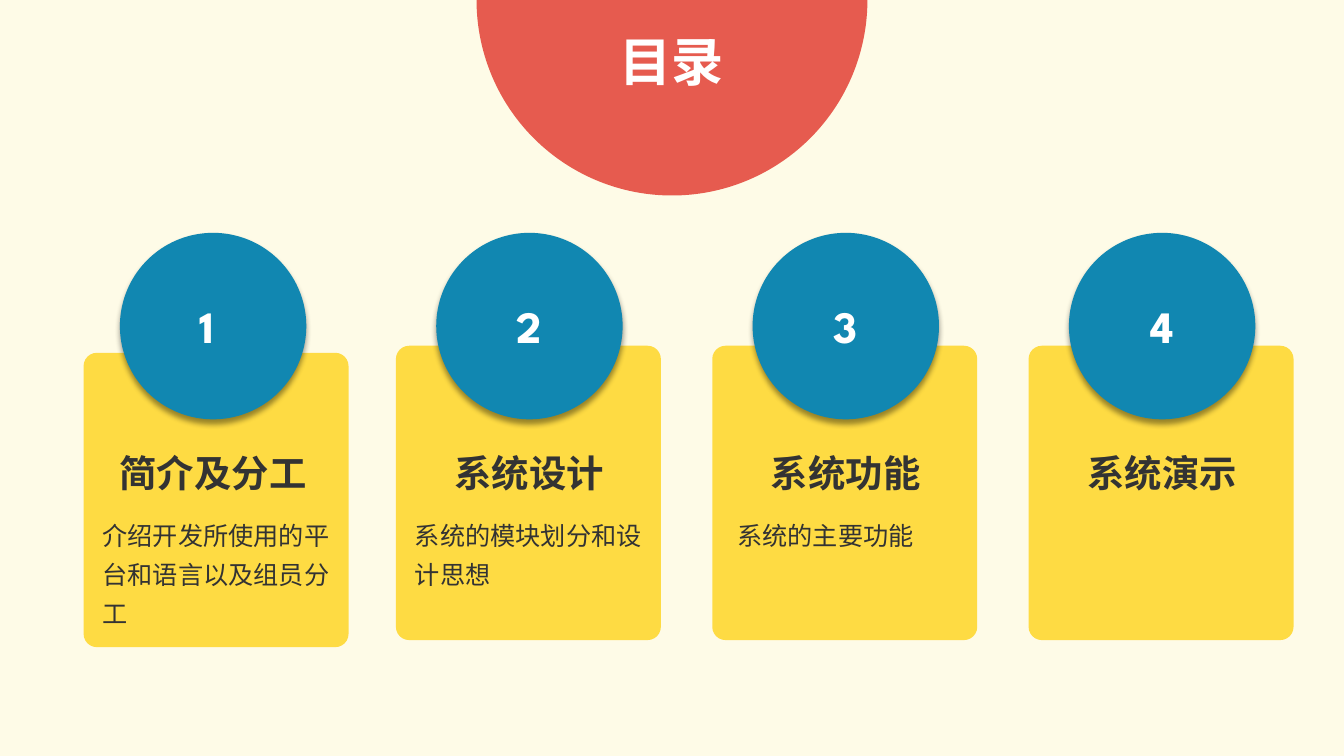
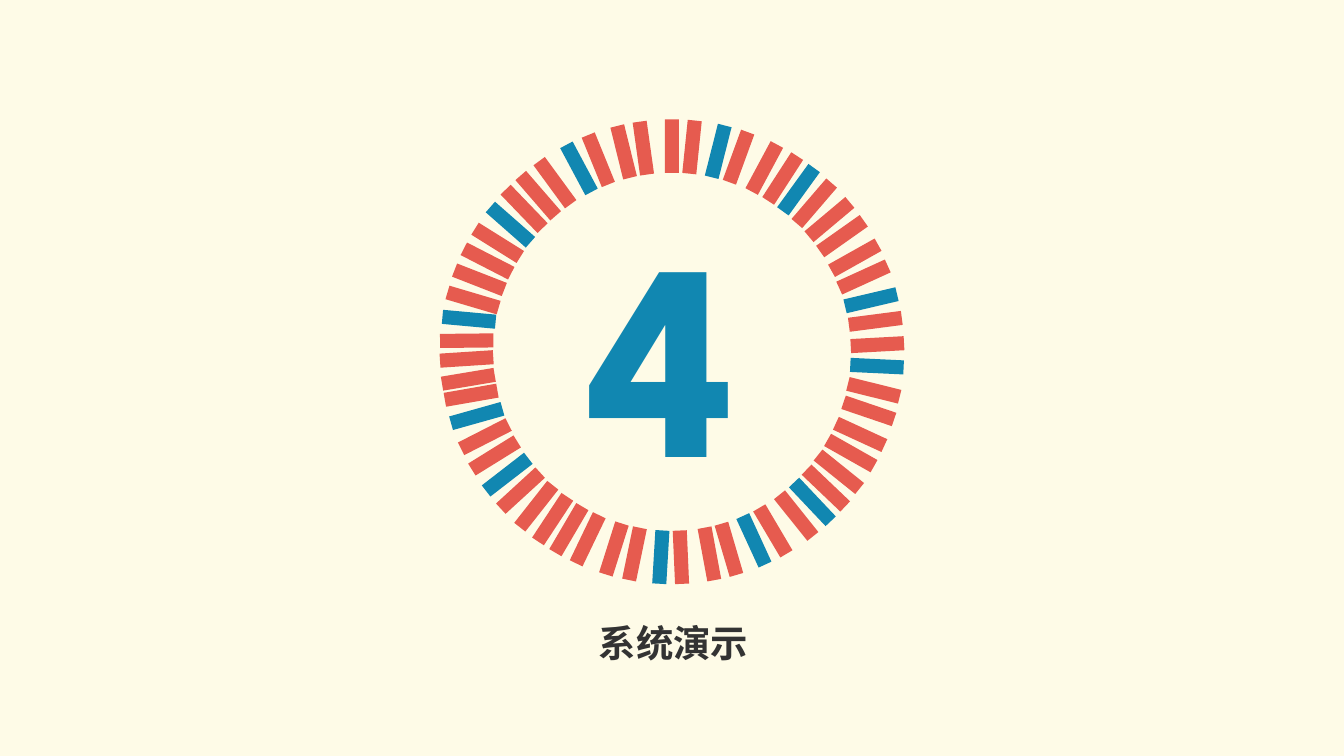
import collections
import math

import pptx
import pptx.util
import pptx.dml.color
import pptx.enum.shapes
import pptx.enum.text
import pptx.oxml
import pptx.oxml.ns

Inches = pptx.util.Inches
SHAPE = pptx.enum.shapes.MSO_SHAPE
ALIGN = pptx.enum.text.PP_ALIGN

# ---- Content ----
COLORS = {"cream": "FEFBE7", "yellow": "FEDB43", "blue": "1187B1",
          "red": "E65B4F", "dark": "333333", "white": "FFFFFF"}
FONT = "League Spartan"
CONTENTS_TITLE = "目录"
SECTION_NUMBER = "4"
SECTION_TITLE = "系统演示"

Chapter = collections.namedtuple(
    "Chapter", "heading note note_lines card_right card_down digit_right note_right",
    defaults=(0, 0, 0, 0))
CHAPTERS = [
    Chapter("简介及分工", "介绍开发所使用的平台和语言以及组员分工", 3,
            card_right=0.04, card_down=0.07, digit_right=-0.06),
    Chapter("系统设计", "系统的模块划分和设计思想", 2),
    Chapter("系统功能", "系统的主要功能", 1, note_right=0.06),
    Chapter("系统演示", "", 0),
]

# ---- Contents layout, in inches ----
COLUMN_LEFT, COLUMN_PITCH = 0.79, 3.14
CARD_TOP, CARD_WIDTH, CARD_HEIGHT = 3.43, 2.63, 2.92
BADGE_SIZE, BADGE_TOP = 1.85, 2.31
DIGIT_WIDTH, DIGIT_HEIGHT = 0.45, 0.64
HEADING_WIDTH = 2.57
NOTE_INSET, NOTE_LINE = 0.09, 0.39
DOME_SIZE = 3.88

# ---- Ring layout: angles in degrees, lengths in inches ----
RING_X, RING_Y, RING_RADIUS = 6.67, 3.49, 2.04
BAR_WIDTH, BAR_HEIGHT = 0.14, 0.53
# Every quadrant repeats one fan of bars: where each bar sits, and how it leans
BEARINGS = [0, 5.6, 13, 18.9, 26.7, 32.6, 38, 43.8,
            50, 55.8, 62.8, 68.7, 75.5, 81.5, 86.6, 92.3]
TILTS = [0, 5.9, 14.2, 20.1, 28.2, 32.9, 35.9, 40.7,
         50, 54.8, 60.7, 65.5, 76.8, 82.6, 83, 88.8]
# The fan starts at an axis, runs one way, is turned by an offset,
# and its last pairs of bars are squeezed together on the left side
Quadrant = collections.namedtuple(
    "Quadrant", "axis direction offset squeeze bar_count blue_bars")
QUADRANTS = [
    Quadrant(0, 1, 0, 0, 14, {2, 6, 12}),
    Quadrant(0, -1, 8, 1.3, 14, {3, 7, 12}),
    Quadrant(180, -1, 10.5, 0, 14, {2, 5, 12}),
    Quadrant(180, 1, -2.5, 0.6, 16, {1, 9, 12}),
]
FIRST_SQUEEZED_PAIR = 5


# ---- Shared helpers ----
def color(name):
    return pptx.dml.color.RGBColor.from_string(COLORS[name])


def centered_box(center_x, top, width, height):
    return center_x - width / 2, top, width, height


def add_filled(slide, kind, box, fill):
    shape = slide.shapes.add_shape(kind, *map(Inches, box))
    shape.shadow.inherit = False
    shape.fill.solid()
    shape.fill.fore_color.rgb = color(fill)
    shape.line.fill.background()
    return shape


def add_soft_shadow(shape):
    effects = shape._element.spPr.find(pptx.oxml.ns.qn("a:effectLst"))
    effects.append(pptx.oxml.parse_xml(
        f'<a:outerShdw {pptx.oxml.ns.nsdecls("a")} blurRad="50800" dist="38100" '
        'dir="5400000" algn="t" rotWithShape="0">'
        '<a:srgbClr val="000000"><a:alpha val="40000"/></a:srgbClr></a:outerShdw>'))


def write(shape, text, size, ink, bold=True, align=ALIGN.CENTER, spacing=1.0, wrap=True):
    frame = shape.text_frame
    frame.word_wrap = wrap
    frame.auto_size = pptx.enum.text.MSO_AUTO_SIZE.NONE
    frame.vertical_anchor = pptx.enum.text.MSO_ANCHOR.TOP
    paragraph = frame.paragraphs[0]
    paragraph.alignment = align
    paragraph.line_spacing = spacing
    run = paragraph.add_run()
    run.text = text
    run.font.name = FONT
    run.font.size = pptx.util.Pt(size)
    run.font.bold = bold
    run.font.color.rgb = color(ink)


def add_text(slide, box, text, size, ink, **style):
    write(slide.shapes.add_textbox(*map(Inches, box)), text, size, ink, **style)


def place_title(slide, box, text, size, ink, **style):
    title = slide.shapes.title
    title.left, title.top, title.width, title.height = map(Inches, box)
    write(title, text, size, ink, **style)
    slide.shapes._spTree.append(title._element)  # in front of the shapes


# ---- Parts of the slides ----
def add_chapter(slide, index, chapter):
    column_left = COLUMN_LEFT + index * COLUMN_PITCH
    column_center = column_left + CARD_WIDTH / 2 + 0.01
    card_left = column_left + chapter.card_right
    card = add_filled(slide, SHAPE.ROUNDED_RECTANGLE,
                      (card_left, CARD_TOP + chapter.card_down, CARD_WIDTH, CARD_HEIGHT),
                      "yellow")
    card.adjustments[0] = 0.05
    badge = add_filled(slide, SHAPE.OVAL,
                       centered_box(column_center, BADGE_TOP, BADGE_SIZE, BADGE_SIZE), "blue")
    add_soft_shadow(badge)
    add_text(slide, centered_box(column_center + chapter.digit_right, 2.91,
                                 DIGIT_WIDTH, DIGIT_HEIGHT),
             str(index + 1), 32, "white", wrap=False)
    add_text(slide, centered_box(column_center, 4.28, HEADING_WIDTH, 0.63),
             chapter.heading, 26.7, "dark", spacing=1.3)
    if chapter.note:
        note_left = card_left + NOTE_INSET + chapter.note_right
        note_height = 0.06 + NOTE_LINE * chapter.note_lines
        add_text(slide, (note_left, 5.02, 2.48, note_height), chapter.note, 18, "dark",
                 bold=False, align=ALIGN.LEFT, spacing=1.3)


def add_ring_bar(slide, quadrant, index):
    squeezed_pairs = max(0, index // 2 - FIRST_SQUEEZED_PAIR + 1)
    turn = BEARINGS[index] + quadrant.offset - quadrant.squeeze * squeezed_pairs
    bearing = math.radians(quadrant.axis + quadrant.direction * turn)
    center_x = RING_X + RING_RADIUS * math.sin(bearing)
    center_y = RING_Y - RING_RADIUS * math.cos(bearing)
    bar = add_filled(slide, SHAPE.RECTANGLE,
                     centered_box(center_x, center_y - BAR_HEIGHT / 2, BAR_WIDTH, BAR_HEIGHT),
                     "blue" if index in quadrant.blue_bars else "red")
    bar.rotation = quadrant.direction * (TILTS[index] + quadrant.offset) % 360


# ---- Presentation ----
presentation = pptx.Presentation()
presentation.slide_width = Inches(13.34)
presentation.slide_height = Inches(7.5)
background = presentation.slide_master.background.fill
background.solid()
background.fore_color.rgb = color("cream")
title_only = presentation.slide_layouts[5]

# ---- Slide 1: contents ----
contents = presentation.slides.add_slide(title_only)
for index, chapter in enumerate(CHAPTERS):
    add_chapter(contents, index, chapter)
add_filled(contents, SHAPE.OVAL,
           centered_box(RING_X, -DOME_SIZE / 2, DOME_SIZE, DOME_SIZE), "red")
place_title(contents, centered_box(RING_X, 0.24, 1.25, 0.73),
            CONTENTS_TITLE, 37.3, "white", wrap=False)

# ---- Slide 2: section opener ----
section = presentation.slides.add_slide(title_only)
for quadrant in QUADRANTS:
    for index in range(quadrant.bar_count):
        add_ring_bar(section, quadrant, index)
add_text(section, (5.69, 1.71, 1.77, 3.47), SECTION_NUMBER, 200, "blue", wrap=False)
place_title(section, (5.4, 6.06, HEADING_WIDTH, 0.56), SECTION_TITLE, 26.7, "dark",
            spacing=1.1)

presentation.save("out.pptx")
